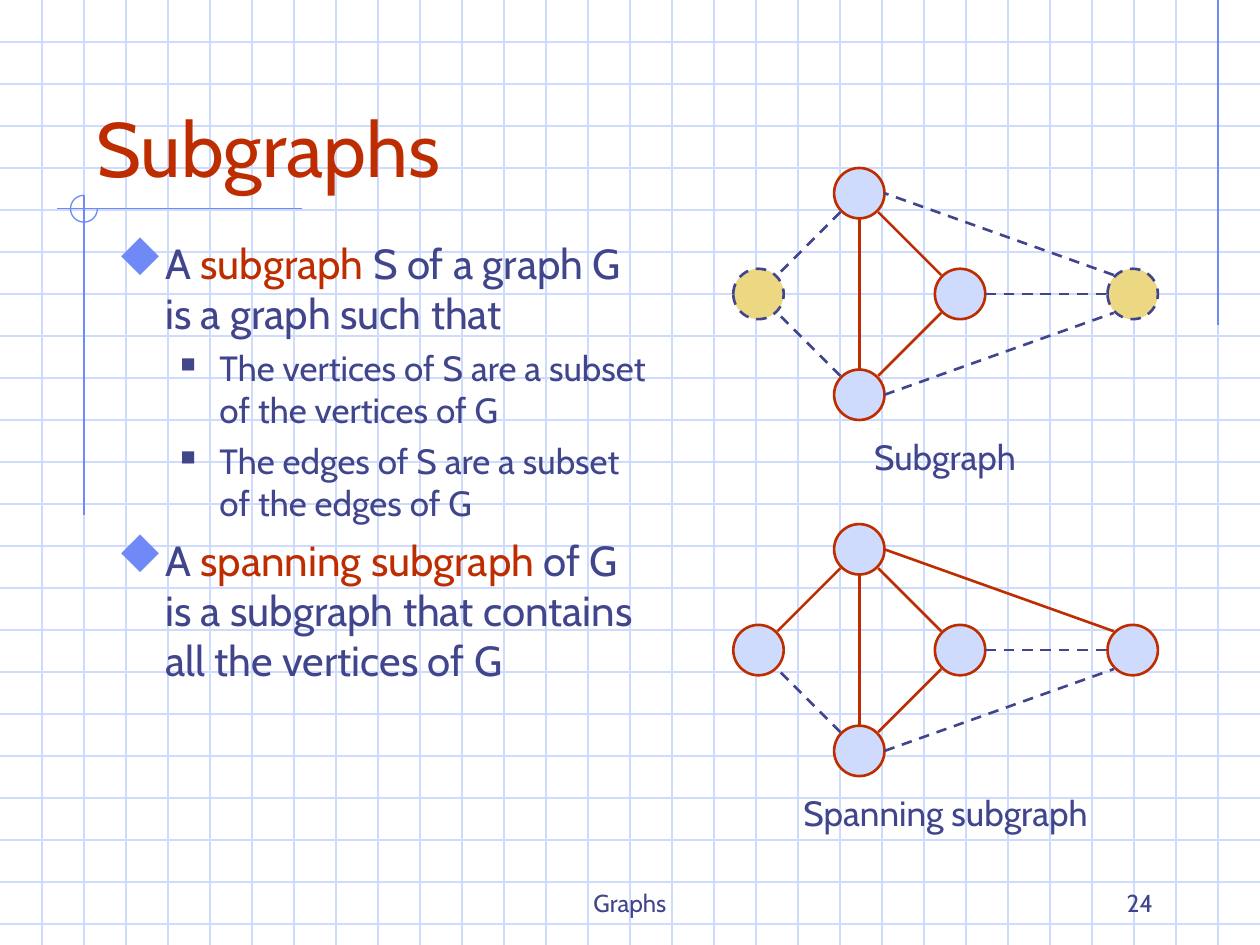
from lxml import etree
from pptx import Presentation
from pptx import util as u
from pptx.dml.color import RGBColor
from pptx.enum import dml, shapes, text
from pptx.oxml.ns import qn

INK = RGBColor(0x40, 0x45, 0x8C)
RED = RGBColor(0xBE, 0x2D, 0x00)
BLUE = RGBColor(0x6F, 0x89, 0xF7)
PALE = RGBColor(0xCF, 0xDB, 0xFD)
SAND = RGBColor(0xEC, 0xD8, 0x82)

COLUMNS, ROWS = 30, 22.5
RADIUS, DIAGONAL = 0.6, 0.45

VERTICES = {
    "left": (18.06, 7),
    "top": (20.46, 4.6),
    "bottom": (20.46, 9.4),
    "inner": (22.86, 7),
    "far": (26.97, 7),
}
EDGES = [
    ("top", (-1, 1), "left", (1, -1)),
    ("bottom", (-1, -1), "left", (1, 1)),
    ("bottom", (1, -1), "inner", (-1, 1)),
    ("top", (1, 1), "inner", (-1, -1)),
    ("top", (0, 1), "bottom", (0, -1)),
    ("inner", (1, 0), "far", (-1, 0)),
    ("bottom", (1, 0), "far", (-1, 1)),
    ("far", (-1, -1), "top", (1, 0)),
]
SPANNING_DASHED = [("bottom", "left"), ("inner", "far"), ("bottom", "far")]
SUBGRAPH_DASHED = SPANNING_DASHED + [("top", "left"), ("far", "top")]

DIAMOND = dict(mark="u", mark_color=BLUE, mark_size=110, margin=0.38, hang=0.38, level=0)
SQUARE = dict(mark="n", mark_color=INK, mark_size=60, margin=0.81, hang=0.31, level=1)
POINTS = [
    (DIAMOND, 24, 0, [("A ", INK), ("subgraph ", RED),
                      ("S of a graph G is a graph such that", INK)]),
    (SQUARE, 20, 5, [("The vertices of S are a subset of the vertices of G", INK)]),
    (SQUARE, 20, 5, [("The edges of S are a subset of the edges of G", INK)]),
    (DIAMOND, 24, 6, [("A ", INK), ("spanning subgraph", RED),
                      (" of G is a subgraph that contains all the vertices of G", INK)]),
]


class GraphPaper:
    font = "Cabin"
    mark_font = "Wingdings"

    def __init__(self, deck):
        self.slide = deck.slides.add_slide(deck.slide_layouts[6])
        self.cell = deck.slide_width / COLUMNS

    def cells(self, *lengths):
        return [u.Emu(round(length * self.cell)) for length in lengths]

    def stroke(self, line, color, width, dashed=False):
        line.color.rgb = color
        line.width = u.Pt(width)
        if dashed:
            line.dash_style = dml.MSO_LINE.DASH

    def line(self, start, end, color, width=0.75, dashed=False):
        connector = self.slide.shapes.add_connector(
            shapes.MSO_CONNECTOR.STRAIGHT, *self.cells(*start, *end))
        self.stroke(connector.line, color, width, dashed)
        etree.SubElement(connector._element.spPr, qn("a:effectLst"))

    def arc(self, center, radius, color):
        x, y = center
        arc = self.slide.shapes.add_shape(
            shapes.MSO_SHAPE.ARC,
            *self.cells(x - radius, y - radius, 2 * radius, 2 * radius))
        arc.adjustments[0] = 0
        arc.adjustments[1] = 162
        arc.shadow.inherit = False
        arc.fill.background()
        self.stroke(arc.line, color, 0.75)

    def vertex(self, center, fill, color, dashed):
        x, y = center
        vertex = self.slide.shapes.add_shape(
            shapes.MSO_SHAPE.OVAL,
            *self.cells(x - RADIUS, y - RADIUS, 2 * RADIUS, 2 * RADIUS))
        vertex.shadow.inherit = False
        vertex.fill.solid()
        vertex.fill.fore_color.rgb = fill
        self.stroke(vertex.line, color, 1.5, dashed)

    def graph(self, drop, outside, dashed_edges):
        centers = {name: (x, y + drop) for name, (x, y) in VERTICES.items()}
        for name, center in centers.items():
            if name in outside:
                self.vertex(center, SAND, INK, True)
            else:
                self.vertex(center, PALE, RED, False)
        for tail, leave, head, enter in EDGES:
            dashed = (tail, head) in dashed_edges
            self.line(self.rim(centers[tail], leave), self.rim(centers[head], enter),
                      INK if dashed else RED, 1.5, dashed)

    def rim(self, center, direction):
        reach = DIAGONAL if all(direction) else RADIUS
        return [c + reach * d for c, d in zip(center, direction)]

    def frame(self, box, anchor):
        frame = self.slide.shapes.add_textbox(*self.cells(*box)).text_frame
        frame.word_wrap = True
        frame.vertical_anchor = anchor
        return frame

    def style(self, paragraph, size, color=None):
        paragraph.font.name = self.font
        paragraph.font.size = u.Pt(size)
        if color is not None:
            paragraph.font.color.rgb = color

    def label(self, words, box, size, color=INK, align=text.PP_ALIGN.CENTER,
              anchor=text.MSO_ANCHOR.BOTTOM):
        paragraph = self.frame(box, anchor).paragraphs[0]
        paragraph.text = words
        paragraph.alignment = align
        self.style(paragraph, size, color)

    def bullet(self, paragraph, mark, mark_color, mark_size, margin, hang, level):
        paragraph.level = level
        props = paragraph._p.get_or_add_pPr()
        props.set("marL", str(u.Inches(margin)))
        props.set("indent", str(-u.Inches(hang)))
        tint = etree.SubElement(props, qn("a:buClr"))
        etree.SubElement(tint, qn("a:srgbClr"), val=str(mark_color))
        etree.SubElement(props, qn("a:buSzPct"), val=str(mark_size * 1000))
        etree.SubElement(props, qn("a:buFont"), typeface=self.mark_font,
                         pitchFamily="2", charset="2")
        etree.SubElement(props, qn("a:buChar"), char=mark)

    def bullets(self, points, box):
        frame = self.frame(box, text.MSO_ANCHOR.TOP)
        for index, (marker, size, before, runs) in enumerate(points):
            paragraph = frame.add_paragraph() if index else frame.paragraphs[0]
            self.bullet(paragraph, **marker)
            if before:
                paragraph.space_before = u.Pt(before)
            colors = {color for _, color in runs}
            self.style(paragraph, size, runs[0][1] if len(colors) == 1 else None)
            for words, color in runs:
                run = paragraph.add_run()
                run.text = words
                if len(colors) > 1:
                    run.font.color.rgb = color


def main():
    deck = Presentation()
    deck.slide_width, deck.slide_height = u.Inches(10), u.Inches(7.5)
    paper = GraphPaper(deck)

    for row in range(1, int(ROWS) + 1):
        paper.line((0, row), (COLUMNS, row), PALE)
    for column in range(1, COLUMNS):
        paper.line((column, 0), (column, ROWS), PALE)
    paper.line((29, 0), (29, 7.74), BLUE)
    paper.line((7.2, 4.97), (1.36, 4.97), BLUE)
    paper.line((2, 4.65), (2, 12.27), BLUE)
    paper.arc((2, 4.97), 0.32, BLUE)

    paper.label("Subgraphs", (2, 1, 25.5, 3.75), 44, RED, text.PP_ALIGN.LEFT)
    paper.bullets(POINTS, (2.5, 5.5, 13.25, 14.25))
    paper.label("Subgraph", (17.82, 10.23, 9.36, 1.32), 20, anchor=text.MSO_ANCHOR.TOP)
    paper.label("Spanning subgraph", (16.53, 18.69, 11.97, 1.32), 20,
                anchor=text.MSO_ANCHOR.TOP)
    paper.graph(0, ("left", "far"), SUBGRAPH_DASHED)
    paper.graph(8.48, (), SPANNING_DASHED)
    paper.label("Graphs", (10.25, 20.5, 9.5, 1.5), 14)
    paper.label("24", (21.5, 20.5, 6.25, 1.5), 14, align=text.PP_ALIGN.RIGHT)

    deck.save("out.pptx")


if __name__ == "__main__":
    main()
